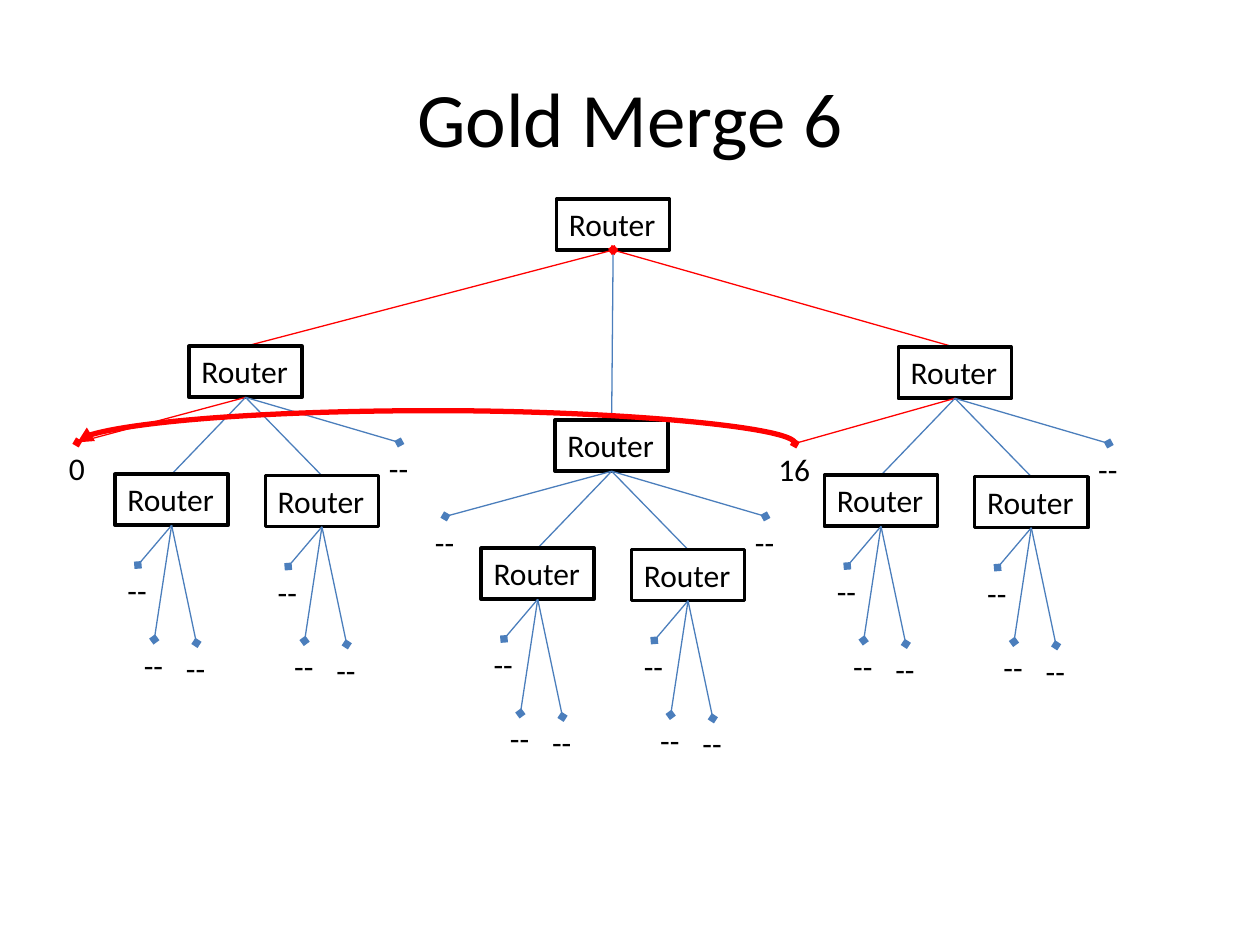
from dataclasses import dataclass
from typing import NamedTuple

import pptx
import pptx.dml.color
import pptx.enum.shapes
import pptx.enum.text
import pptx.oxml
import pptx.oxml.ns
import pptx.util
from pptx.util import Cm

MSO_CONNECTOR = pptx.enum.shapes.MSO_CONNECTOR


@dataclass(frozen=True)
class Theme:
    font: str = "Calibri"
    ink: str = "000000"
    paper: str = "FFFFFF"
    link: str = "4B7EBC"
    merge: str = "FF0000"
    title_size: float = 44
    body_size: float = 18
    box_line: float = 2
    link_line: float = 0.75
    arc_line: float = 3


class Point(NamedTuple):
    """A position in centimetres."""
    x: float
    y: float

    def shift(self, dx: float, dy: float) -> "Point":
        return Point(self.x + dx, self.y + dy)


class Branch(NamedTuple):
    top: Point
    first_leaf: str
    merged: bool


THEME = Theme()
BOX_W, BOX_H = 2.28, 1.03
LABEL_W = {"0": 0.84, "16": 1.17, "--": 0.92}

ROOT_TOP = Point(12.36, 4.01)
BRANCHES = [
    Branch(Point(4.95, 6.98), "0", True),
    Branch(Point(12.33, 8.47), "--", False),
    Branch(Point(19.25, 7.0), "16", True),
]
# Offsets from the bottom centre of the parent router
FIRST_LEAF, LAST_LEAF = (-3.81, 0.91), (2.64, 0.91)
SUB_ROUTERS = [(-1.49, 1.55), (1.54, 1.58)]
SUB_LEAVES = [(-1.14, 0.8), (-0.81, 2.3), (0.04, 2.37)]


def rgb(value: str) -> pptx.dml.color.RGBColor:
    return pptx.dml.color.RGBColor.from_string(value)


def write(s, text: str, *, size: float = THEME.body_size, wrap: bool = False,
          align=pptx.enum.text.PP_ALIGN.LEFT,
          anchor=pptx.enum.text.MSO_ANCHOR.TOP) -> None:
    tf = s.text_frame
    tf.word_wrap = wrap
    if not wrap:
        tf.auto_size = pptx.enum.text.MSO_AUTO_SIZE.SHAPE_TO_FIT_TEXT
    tf.vertical_anchor = anchor
    p = tf.paragraphs[0]
    p.alignment = align
    r = p.add_run()
    r.text = text
    r.font.name = THEME.font
    r.font.size = pptx.util.Pt(size)
    r.font.color.rgb = rgb(THEME.ink)


def style_line(c, color: str, width: float, tail: str = "") -> None:
    """Format a connector, with an optional arrowhead at its end."""
    c.line.color.rgb = rgb(color)
    c.line.width = pptx.util.Pt(width)
    if tail:
        end = pptx.oxml.parse_xml(
            f'<a:tailEnd {pptx.oxml.ns.nsdecls("a")} type="{tail}"/>')
        c.line._get_or_add_ln().append(end)
    c._element.spPr.append(
        pptx.oxml.parse_xml(f'<a:effectLst {pptx.oxml.ns.nsdecls("a")}/>'))


def add_link(sp, start: Point, end: Point, *, merged: bool = False,
             tail: str = "") -> None:
    c = sp.add_connector(MSO_CONNECTOR.STRAIGHT, Cm(start.x), Cm(start.y),
                         Cm(end.x), Cm(end.y))
    style_line(c, THEME.merge if merged else THEME.link, THEME.link_line, tail)


def add_router(sp, top: Point) -> Point:
    """Draw a router by its top centre and return its bottom centre."""
    s = sp.add_shape(pptx.enum.shapes.MSO_SHAPE.RECTANGLE,
                     Cm(top.x - BOX_W / 2), Cm(top.y), Cm(BOX_W), Cm(BOX_H))
    s.shadow.inherit = False
    s.fill.solid()
    s.fill.fore_color.rgb = rgb(THEME.paper)
    s.line.color.rgb = rgb(THEME.ink)
    s.line.width = pptx.util.Pt(THEME.box_line)
    write(s, "Router")
    return top.shift(0, BOX_H)


def add_leaf(sp, parent: Point, offset: tuple[float, float],
             text: str = "--", *, merged: bool = False) -> Point:
    """Draw a linked label by its top left and return its top centre."""
    corner = parent.shift(*offset)
    width = LABEL_W[text]
    s = sp.add_textbox(Cm(corner.x), Cm(corner.y), Cm(width), Cm(BOX_H))
    write(s, text)
    top = corner.shift(width / 2, 0)
    add_link(sp, parent, top, merged=merged, tail="diamond")
    return top


def add_branch(sp, branch: Branch) -> Point:
    """Draw a subtree and return the top centre of its first leaf."""
    bottom = add_router(sp, branch.top)
    first = add_leaf(sp, bottom, FIRST_LEAF, branch.first_leaf,
                     merged=branch.merged)
    for offset in SUB_ROUTERS:
        sub_top = bottom.shift(*offset)
        add_link(sp, bottom, sub_top)
        sub_bottom = add_router(sp, sub_top)
        for leaf_offset in SUB_LEAVES:
            add_leaf(sp, sub_bottom, leaf_offset)
    add_leaf(sp, bottom, LAST_LEAF)
    return first


def add_merge_arc(sp, start: Point, end: Point, rise: float = 0.66) -> None:
    """Curve leftwards from start to end, bulging up: a turned connector."""
    drop, span = start.y - end.y, start.x - end.x
    mid = Point((start.x + end.x) / 2, (start.y + end.y) / 2)
    c = sp.add_connector(MSO_CONNECTOR.CURVE, 0, 0, 0, 0)
    c.left, c.top = Cm(mid.x - drop / 2), Cm(mid.y - span / 2)
    c.width, c.height = Cm(drop), Cm(span)
    xfrm = c._element.spPr.xfrm
    xfrm.set("rot", str(270 * 60000))
    xfrm.set("flipV", "1")
    guides = c._element.spPr.prstGeom.get_or_add_avLst()
    guides.append(pptx.oxml.parse_xml(
        f'<a:gd {pptx.oxml.ns.nsdecls("a")} name="adj1" '
        f'fmla="val {round(rise / drop * 100000)}"/>'))
    style_line(c, THEME.merge, THEME.arc_line, "triangle")


def main() -> None:
    prs = pptx.Presentation()
    prs.slide_width, prs.slide_height = Cm(25.4), Cm(19.05)
    sp = prs.slides.add_slide(prs.slide_layouts[6]).shapes

    title = sp.add_textbox(Cm(1.27), Cm(0.76), Cm(22.86), Cm(3.18))
    write(title, "Gold Merge 6", size=THEME.title_size, wrap=True,
          align=pptx.enum.text.PP_ALIGN.CENTER,
          anchor=pptx.enum.text.MSO_ANCHOR.MIDDLE)

    root = add_router(sp, ROOT_TOP)
    for branch in BRANCHES:
        add_link(sp, branch.top, root, merged=branch.merged,
                 tail="diamond" if branch.merged else "")
    left, _, right = [add_branch(sp, branch) for branch in BRANCHES]
    add_merge_arc(sp, right, left)
    prs.save("out.pptx")


if __name__ == "__main__":
    main()
